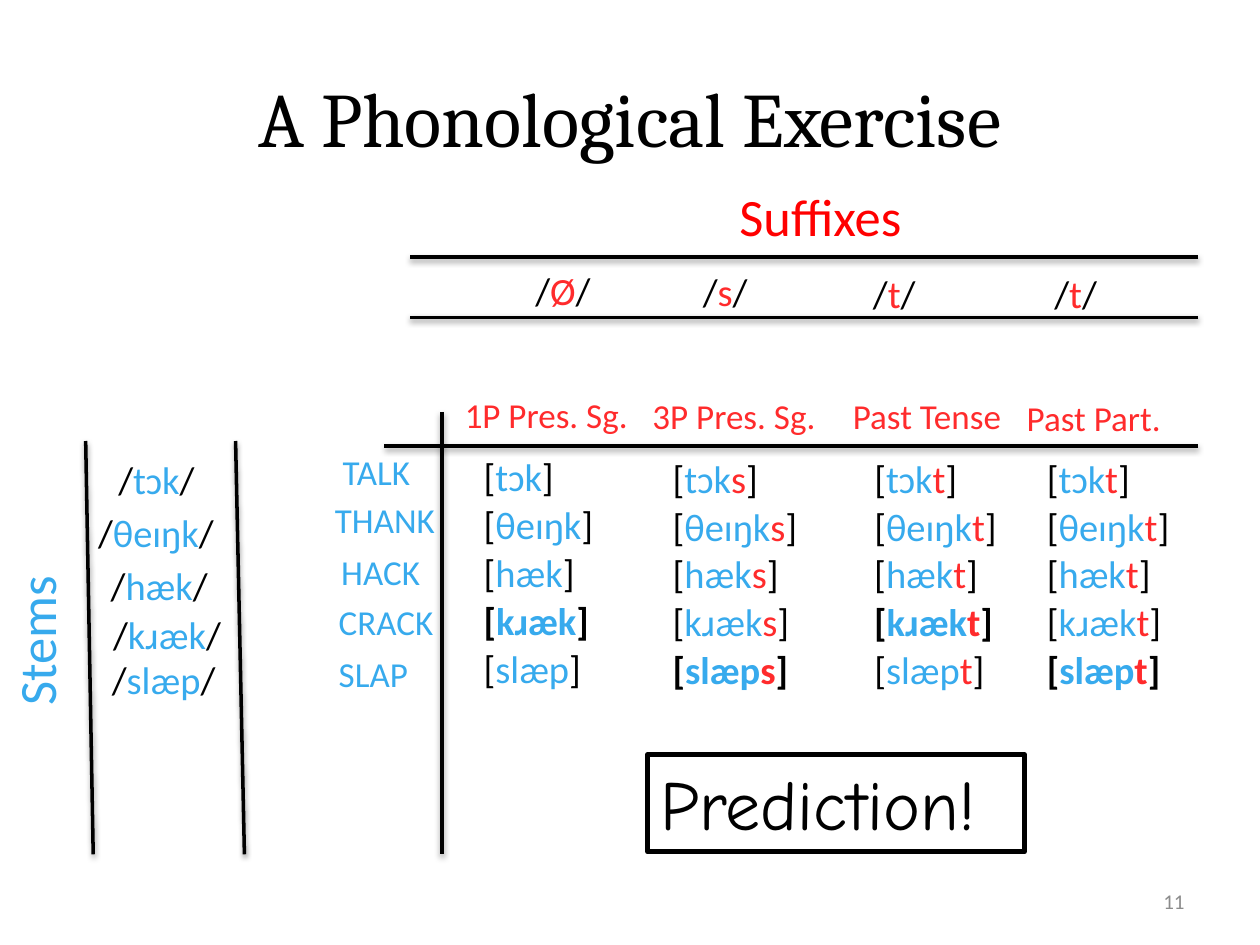
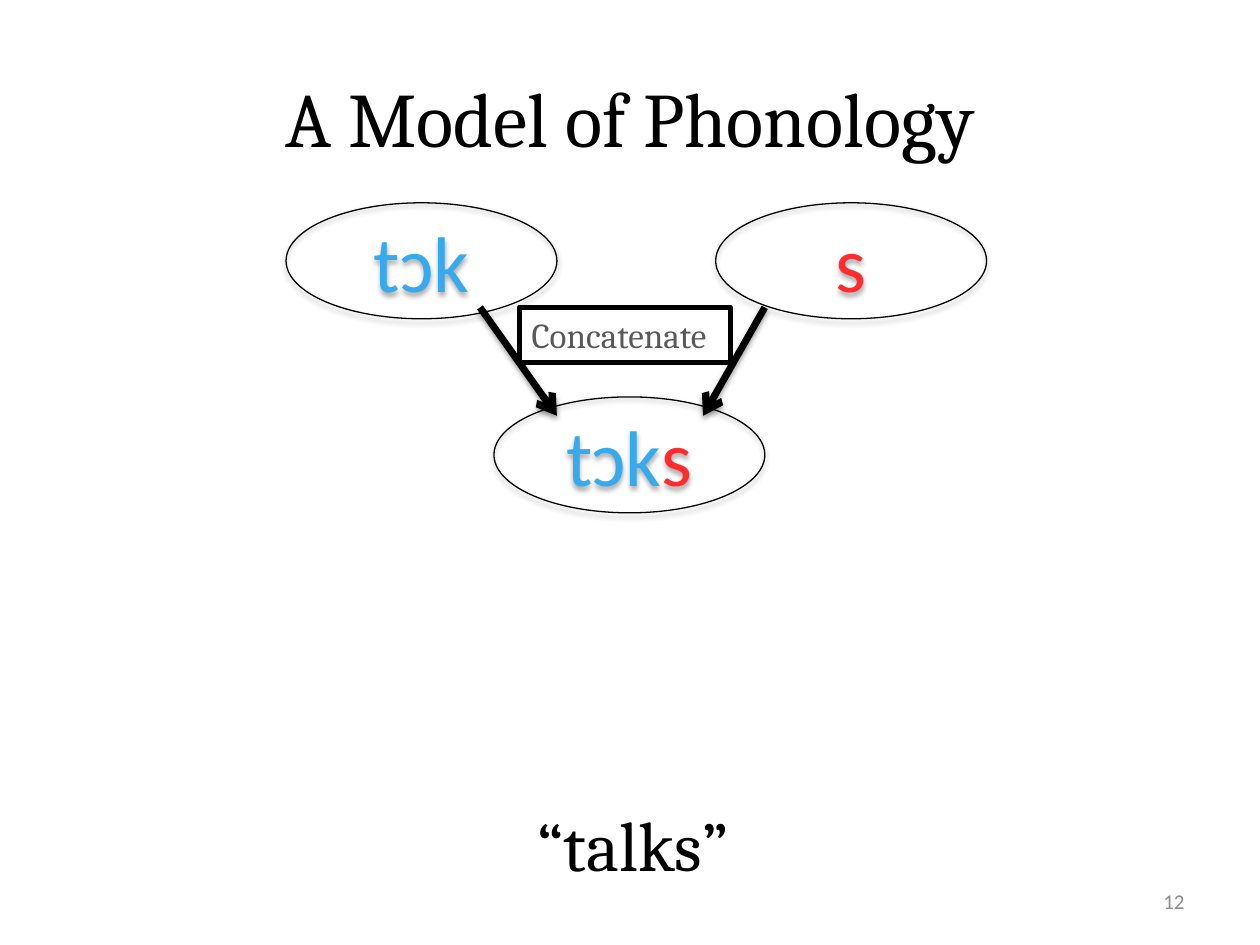
from lxml.etree import SubElement
from pptx import Presentation
from pptx.dml.color import RGBColor
from pptx.enum.shapes import MSO_CONNECTOR, MSO_SHAPE
from pptx.enum.text import MSO_ANCHOR, MSO_AUTO_SIZE, PP_ALIGN
from pptx.oxml.ns import qn
from pptx.util import Inches, Pt

BLACK, WHITE, GRAY, DARK = "000000", "FFFFFF", "8C8C8C", "595959"
STEM, SUFFIX, RED = "37AAED", "FF2B2C", "FF0000"

# Font formats
TITLE = {"name": "Cambria", "size": Pt(44)}
SPOKEN = {"name": "Cambria", "size": Pt(40)}
RULE = {"name": "Cambria", "size": Pt(20)}
FORM = {"name": "Calibri", "size": Pt(22)}
BOLD_FORM = {**FORM, "bold": True}
LABEL = {"name": "Calibri", "size": Pt(20)}
HEADING = {"name": "Calibri", "size": Pt(30)}
MORPHEME = {"name": "Calibri", "size": Pt(45)}
CALLOUT = {"name": "Comic Neue", "size": Pt(40)}
NUMBER = {"name": "Calibri", "size": Pt(12)}

# Text frame formats
FITTED = {"word_wrap": False, "auto_size": MSO_AUTO_SIZE.SHAPE_TO_FIT_TEXT,
          "vertical_anchor": MSO_ANCHOR.TOP}
WRAPPED = {**FITTED, "word_wrap": True}
MIDDLE = {"word_wrap": True, "vertical_anchor": MSO_ANCHOR.MIDDLE}


def color(hex_string):
    return RGBColor.from_string(hex_string)


def apply(target, values):
    for name, value in values.items():
        setattr(target, name, value)


def enclosed(opening, stem, suffix, closing):
    """Colour the parts of a form: brackets black, stem blue, suffix red."""
    parts = [(opening, BLACK), (stem, STEM), (suffix, SUFFIX), (closing, BLACK)]
    return [part for part in parts if part[0]]


class Deck:
    def __init__(self):
        self.prs = Presentation()
        self.prs.slide_width, self.prs.slide_height = Inches(10), Inches(7.5)
        self.slide = None

    def start_slide(self, title, number):
        self.slide = self.prs.slides.add_slide(self.prs.slide_layouts[6])
        self.text((0.5, 0.3, 9, 1.25), [(title, BLACK)], TITLE, MIDDLE, PP_ALIGN.CENTER)
        self.text((7.17, 6.95, 2.33, 0.4), [(number, GRAY)], NUMBER, MIDDLE, PP_ALIGN.RIGHT)

    def fill_text(self, shape, runs, font, frame, align=PP_ALIGN.LEFT):
        apply(shape.text_frame, frame)
        paragraph = shape.text_frame.paragraphs[0]
        paragraph.alignment = align
        for words, shade in runs:
            run = paragraph.add_run()
            run.text = words
            apply(run.font, font)
            run.font.color.rgb = color(shade)
        return paragraph

    def text(self, box, runs, font, frame=FITTED, align=PP_ALIGN.LEFT, rotation=0):
        shape = self.slide.shapes.add_textbox(*map(Inches, box))
        shape.rotation = rotation
        return self.fill_text(shape, runs, font, frame, align)

    def shape(self, kind, box, runs, font, frame, align, width, fill=None):
        shape = self.slide.shapes.add_shape(kind, *map(Inches, box))
        shape.shadow.inherit = False
        if fill:
            shape.fill.solid()
            shape.fill.fore_color.rgb = color(fill)
        else:
            shape.fill.background()
        shape.line.color.rgb = color(BLACK)
        shape.line.width = Pt(width)
        self.fill_text(shape, runs, font, frame, align)
        return shape

    def frame(self, box, runs, font, fill=None):
        self.shape(MSO_SHAPE.RECTANGLE, box, runs, font, FITTED, PP_ALIGN.LEFT, 3, fill)

    def ellipse(self, left, top, runs):
        oval = self.shape(MSO_SHAPE.OVAL, (left, top, 2.15, 0.92), runs, MORPHEME,
                          MIDDLE, PP_ALIGN.CENTER, 0.75)
        self.shadow(oval.element.spPr.find(qn("a:effectLst")), 23000, 35000)

    def line(self, start, end, width=2, arrow=False):
        line = self.slide.shapes.add_connector(
            MSO_CONNECTOR.STRAIGHT, *map(Inches, (*start, *end)))
        line.line.color.rgb = color(BLACK)
        line.line.width = Pt(width)
        properties = line.element.spPr
        if arrow:
            SubElement(properties.find(qn("a:ln")), qn("a:tailEnd"), type="arrow")
        self.shadow(SubElement(properties, qn("a:effectLst")), 20000, 38000)

    def shadow(self, effects, distance, alpha):
        outer = SubElement(effects, qn("a:outerShdw"), blurRad="40000",
                           dist=str(distance), dir="5400000", rotWithShape="0")
        shade = SubElement(outer, qn("a:srgbClr"), val=BLACK)
        SubElement(shade, qn("a:alpha"), val=str(alpha))


def exercise(deck):
    deck.start_slide("A Phonological Exercise", "11")

    # Rules around the suffixes, the paradigm and the stems
    for start, end in [((9.51, 2.04), (3.25, 2.04)), ((9.51, 2.52), (3.25, 2.52)),
                       ((9.51, 3.54), (3.05, 3.54)), ((3.51, 3.27), (3.51, 6.78)),
                       ((0.68, 3.5), (0.74, 6.78)), ((1.87, 3.5), (1.94, 6.78))]:
        deck.line(start, end)

    # Suffixes
    deck.text((5.77, 1.41, 1.6, 0.61), [("Suffixes", RED)], HEADING)
    for suffix, left, top, width in [("Ø", 3.65, 2.07, 1.35), ("s", 5.48, 2.08, 0.69),
                                     ("t", 6.83, 2.09, 0.67), ("t", 8.27, 2.09, 0.67)]:
        paragraph = deck.text((left, top, width, 0.47),
                              enclosed("/", "", suffix, "/"), FORM, WRAPPED)
        if suffix == "Ø":
            properties = paragraph._p.get_or_add_pPr()
            properties.set("marL", str(Inches(0.5)))
            properties.set("indent", "0")

    # Column headings
    for tense, left, top, width in [("1P Pres. Sg.", 3.59, 3.07, 1.51),
                                    ("3P Pres. Sg.", 5.08, 3.08, 1.51),
                                    ("Past Tense", 6.67, 3.08, 1.42),
                                    ("Past Part.", 8.05, 3.1, 1.29)]:
        deck.text((left, top, width, 0.44), [(tense, SUFFIX)], LABEL)

    # Stems: form, place, then gloss and place, form width, bold columns
    deck.text((-0.36, 4.75, 1.29, 0.61), [("Stems", STEM)], HEADING, rotation=270)
    stems = [
        ("tɔk", (0.84, 3.57, 0.82), "TALK", (2.62, 3.53, 0.78), 0.77, ()),
        ("θeɪŋk", (0.68, 3.99, 1.14), "THANK", (2.56, 3.91, 1.02), 1.08, ()),
        ("hæk", (0.78, 4.41, 0.99), "HACK", (2.61, 4.32, 0.85), 0.93, ()),
        ("kɹæk", (0.8, 4.8, 1.07), "CRACK", (2.59, 4.72, 0.97), 1.02, (0, 2)),
        ("slæp", (0.79, 5.16, 1.04), "SLAP", (2.59, 5.13, 0.76), 0.98, (1, 3)),
    ]
    # Suffix, left, top of the first row, added width
    columns = [("", 3.74, 3.55, 0), ("s", 5.24, 3.56, 0.12),
               ("t", 6.84, 3.56, 0.11), ("t", 8.21, 3.56, 0.11)]
    for row, (stem, stem_at, gloss, gloss_at, form_width, bold) in enumerate(stems):
        deck.text((*stem_at, 0.47), enclosed("/", stem, "", "/"), FORM)
        deck.text((*gloss_at, 0.44), [(gloss, STEM)], LABEL)
        for column, (suffix, left, top, added) in enumerate(columns):
            is_bold = column in bold
            width = form_width + added + 0.03 * is_bold
            deck.text((left, top + 0.38 * row, width, 0.47),
                      enclosed("[", stem, suffix, "]"), BOLD_FORM if is_bold else FORM)

    deck.frame((5.14, 5.99, 2.99, 0.77), [("Prediction!", BLACK)], CALLOUT)


def model(deck):
    deck.start_slide("A Model of Phonology", "12")

    # Morphemes and the word they form
    stem, suffix = ("tɔk", STEM), ("s", SUFFIX)
    deck.ellipse(2.27, 1.61, [stem])
    deck.ellipse(5.68, 1.61, [suffix])
    deck.ellipse(3.92, 3.15, [stem, suffix])

    # Concatenation
    deck.line((6.07, 2.44), (5.58, 3.3), 4, arrow=True)
    deck.line((3.81, 2.44), (4.42, 3.3), 4, arrow=True)
    deck.frame((4.12, 2.44, 1.68, 0.44), [("Concatenate", DARK)], RULE, WHITE)

    deck.text((4.17, 6.31, 1.77, 0.77), [("“talks”", BLACK)], SPOKEN)


def main():
    deck = Deck()
    exercise(deck)
    model(deck)
    deck.prs.save("out.pptx")


if __name__ == "__main__":
    main()
